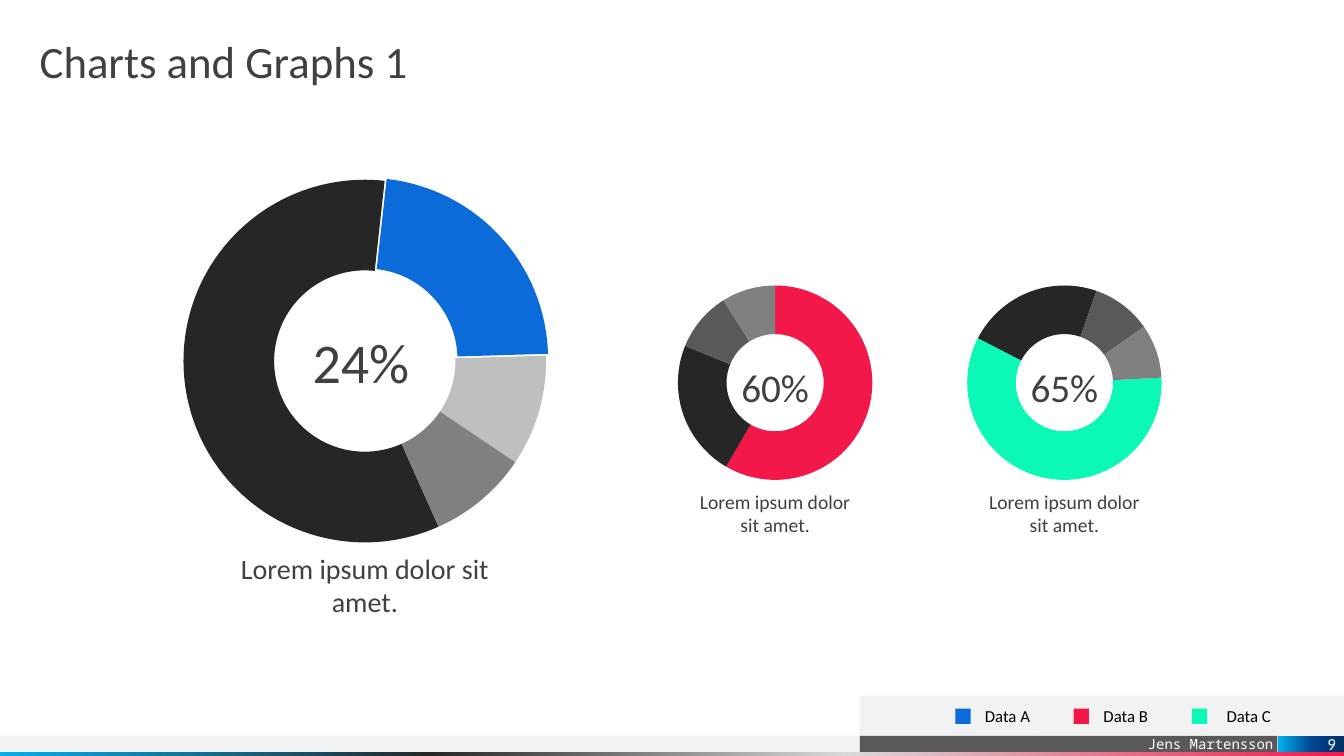
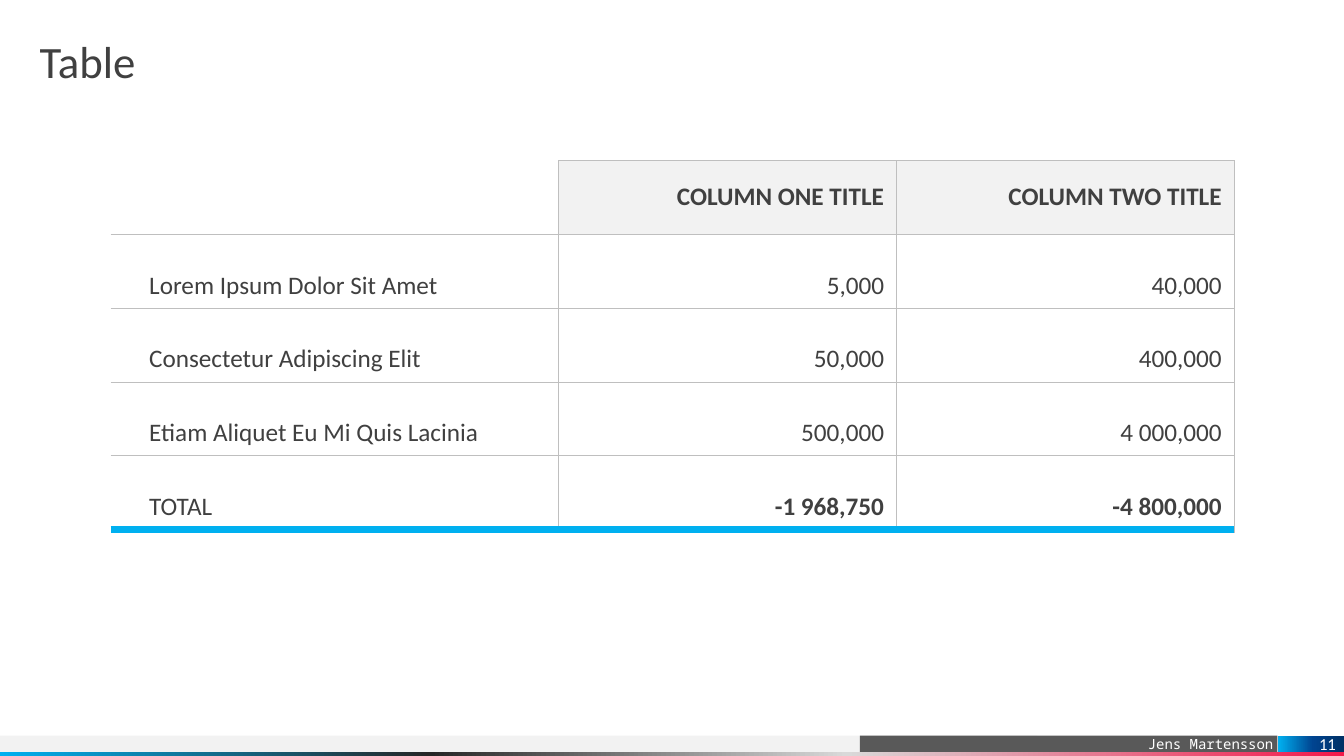
from dataclasses import dataclass

from pptx import Presentation, oxml
from pptx import util as u
from pptx.chart.data import CategoryChartData
from pptx.dml.color import RGBColor
from pptx.enum import chart as charts, shapes, text
from pptx.oxml.ns import nsdecls, qn

COLORS = {
    "white": "FFFFFF", "black": "000000", "ink": "404040",
    "pale": "F2F2F2", "silver": "D9D9D9", "rule": "BFBFBF", "gray": "808080",
    "slate": "595959", "coal": "262626",
    "blue": "0B6CD9", "red": "F2194A", "mint": "0CF8B6",
    "sky": "00B0F0", "royal": "004490", "navy": "003065",
}
SANS, MONO = "Calibri", "Noto Sans Mono"
PAGE_WIDTH, PAGE_HEIGHT = 33.87, 19.05
FOOTER_TOP, FOOTER_HEIGHT, PANEL_LEFT = 18.54, 0.41, 21.67
LEFT, CENTER, RIGHT = text.PP_ALIGN.LEFT, text.PP_ALIGN.CENTER, text.PP_ALIGN.RIGHT
TOP, MIDDLE, BOTTOM = (text.MSO_ANCHOR.TOP, text.MSO_ANCHOR.MIDDLE,
                       text.MSO_ANCHOR.BOTTOM)


@dataclass(frozen=True)
class Box:
    """Left, top, width and height in centimetres."""
    left: float
    top: float
    width: float
    height: float

    def lengths(self) -> list:
        return [u.Cm(v) for v in (self.left, self.top, self.width, self.height)]

    @property
    def center(self) -> float:
        return self.left + self.width / 2


@dataclass(frozen=True)
class Style:
    size: float
    color: str = "ink"
    font: str = SANS
    align: int = LEFT
    anchor: int = TOP
    bold: bool = False
    insets: tuple = (0, 0, 0, 0)
    line_spacing: float = 1.0


@dataclass(frozen=True)
class Ring:
    """A doughnut chart with a value in its hole and a caption below."""
    box: Box
    diameter: float
    start: int
    colors: tuple
    value: str
    value_box: Box
    value_size: int
    caption: str
    caption_box: Box
    caption_size: int
    exploded: int | None = None


@dataclass(frozen=True)
class Key:
    label: str
    color: str
    label_left: float


def rgb(name: str) -> RGBColor:
    return RGBColor.from_string(COLORS[name])


# Text and shape helpers
def write(frame, content: str, style: Style) -> None:
    frame.word_wrap = True
    frame.vertical_anchor = style.anchor
    (frame.margin_left, frame.margin_top,
     frame.margin_right, frame.margin_bottom) = [u.Cm(v) for v in style.insets]
    para = frame.paragraphs[0]
    para.text = content
    style_paragraph(para, style)


def style_paragraph(para, style: Style) -> None:
    para.alignment = style.align
    para.line_spacing = style.line_spacing
    para.font.name = style.font
    para.font.size = u.Pt(style.size)
    para.font.bold = style.bold
    para.font.color.rgb = rgb(style.color)


def add_text(parent, box: Box, content: str, style: Style) -> None:
    write(parent.add_textbox(*box.lengths()).text_frame, content, style)


def add_rect(parent, box: Box, color: str | None = None):
    rect = parent.add_shape(shapes.MSO_SHAPE.RECTANGLE, *box.lengths())
    rect.shadow.inherit = False
    rect.line.fill.background()
    if color:
        rect.fill.solid()
        rect.fill.fore_color.rgb = rgb(color)
    return rect


def add_gradient_rect(parent, box: Box, stops: dict):
    """Draw a rectangle shaded from left to right; stops map percent to colour."""
    rect = add_rect(parent, box)
    rect.fill.gradient()
    rect.fill.gradient_angle = 0
    stop_list = rect._element.spPr.find(qn("a:gradFill")).find(qn("a:gsLst"))
    for stop in list(stop_list):
        stop_list.remove(stop)
    for percent, color in stops.items():
        stop_list.append(oxml.parse_xml(
            f'<a:gs {nsdecls("a")} pos="{percent * 1000}">'
            f'<a:srgbClr val="{COLORS[color]}"/></a:gs>'))
    return rect


# Parts shared by all pages
def add_page(deck, title: str, number: int):
    page = deck.slides.add_slide(deck.slide_layouts[6])
    parent = page.shapes
    add_rect(parent, Box(0, FOOTER_TOP, 26.14, FOOTER_HEIGHT), "pale")
    author = add_rect(parent, Box(PANEL_LEFT, FOOTER_TOP, 10.52, FOOTER_HEIGHT), "slate")
    write(author.text_frame, "Jens Martensson",
          Style(10, "white", MONO, RIGHT, BOTTOM, insets=(0.25, 0, 0.1, 0)))
    add_gradient_rect(parent, Box(0, 18.95, PAGE_WIDTH, 0.1),
                      {0: "sky", 32: "coal", 63: "silver", 100: "red"})
    tab = add_gradient_rect(parent, Box(32.21, FOOTER_TOP, 1.66, FOOTER_HEIGHT),
                            {0: "sky", 53: "royal", 100: "navy"})
    write(tab.text_frame, str(number),
          Style(12, "white", align=RIGHT, anchor=MIDDLE, insets=(0, 0, 0.2, 0)))
    add_text(parent, Box(1, 1, 31.88, 1.5), title, Style(32, line_spacing=0.9))
    return page


# Doughnut charts
def add_ring(page, ring: Ring) -> None:
    data = CategoryChartData()
    data.categories = ["1", "2", "3", "4"]
    data.add_series("Series 1", (59, 23, 10, 9))
    chart = page.shapes.add_chart(
        charts.XL_CHART_TYPE.DOUGHNUT, *ring.box.lengths(), data).chart
    chart.has_legend = chart.has_title = False
    chart.font.name, chart.font.size = MONO, u.Pt(10)
    chart.font.color.rgb = rgb("black")
    plot = chart.plots[0]
    plot.vary_by_categories = True
    for index, color in enumerate(ring.colors):
        look = plot.series[0].points[index].format
        look.fill.solid()
        look.fill.fore_color.rgb = rgb(color)
        look.line.fill.background()

    root = chart._chartSpace
    root.xpath(".//c:firstSliceAng")[0].set("val", str(ring.start))
    root.xpath(".//c:holeSize")[0].set("val", "60")
    if ring.exploded is not None:
        point = root.xpath(f".//c:dPt[c:idx/@val='{ring.exploded}']")[0]
        point.find(qn("c:spPr")).addprevious(
            oxml.parse_xml(f'<c:explosion {nsdecls("c")} val="3"/>'))
    place_plot(root, ring.diameter / ring.box.width, ring.diameter / ring.box.height)

    add_text(page.shapes, ring.value_box, ring.value,
             Style(ring.value_size, align=CENTER, insets=(0.25, 0.13, 0.25, 0.13)))
    add_text(page.shapes, ring.caption_box, ring.caption,
             Style(ring.caption_size, align=CENTER))


def place_plot(root, width: float, height: float) -> None:
    """Centre the plot, given its share of the chart's width and height."""
    area = root.xpath(".//c:plotArea")[0]
    for layout in area.findall(qn("c:layout")):
        area.remove(layout)
    shares = {"x": (1 - width) / 2, "y": (1 - height) / 2, "w": width, "h": height}
    entries = "".join(f'<c:{k} val="{v:.4f}"/>' for k, v in shares.items())
    area.insert(0, oxml.parse_xml(
        f'<c:layout {nsdecls("c")}><c:manualLayout><c:layoutTarget val="inner"/>'
        f'<c:xMode val="edge"/><c:yMode val="edge"/>{entries}'
        f'</c:manualLayout></c:layout>'))


def small_ring(left: float, start: int, color: str, value: str) -> Ring:
    box = Box(left, 6.65, 5.59, 5.99)
    return Ring(box, 4.9, start, (color, "coal", "slate", "gray"),
                value, Box(box.center - 1.82, 9.02, 3.64, 1.45), 28,
                "Lorem ipsum dolor\nsit amet.",
                Box(box.center - 2.22, 12.34, 4.44, 1.19), 14)


RINGS = (
    Ring(Box(4.24, 3.78, 9.91, 10.64), 9.14, 156, ("coal", "blue", "rule", "gray"),
         "24%", Box(5.87, 8.13, 6.45, 1.96), 40,
         "Lorem ipsum dolor sit amet.", Box(5.26, 13.89, 7.87, 0.86), 20, exploded=1),
    small_ring(16.74, 0, "red", "60%"),
    small_ring(24.03, 87, "mint", "65%"),
)
KEYS = (Key("Data A", "blue", 24.82), Key("Data B", "red", 27.81),
        Key("Data C", "mint", 30.91))


def add_legend(page) -> None:
    add_rect(page.shapes, Box(PANEL_LEFT, 17.53, 12.2, 1.01), "pale")
    group = page.shapes.add_group_shape().shapes
    for index, key in enumerate(KEYS):
        add_rect(group, Box(24.08 + index * 2.98, 17.86, 0.38, 0.38), key.color)
        add_text(group, Box(key.label_left, 17.78, 1.88, 0.53), key.label,
                 Style(12, "black"))


# Table
ROWS = (
    ("", "COLUMN ONE TITLE", "COLUMN TWO TITLE"),
    ("Lorem Ipsum Dolor Sit Amet", "5,000", "40,000"),
    ("Consectetur Adipiscing Elit", "50,000", "400,000"),
    ("Etiam Aliquet Eu Mi Quis Lacinia", "500,000", "4 000,000"),
    ("TOTAL", "-1 968,750", "-4 800,000"),
)
COLUMN_WIDTHS = (11.28, 8.51, 8.51)
ROW_HEIGHT = 1.86


def set_borders(cell, borders: dict) -> None:
    """Set the sides L, R, T, B to (colour, points), or to None for no line."""
    for side, border in borders.items():
        if border:
            color, points = border
            width = u.Pt(points)
            paint = f'<a:solidFill><a:srgbClr val="{COLORS[color]}"/></a:solidFill>'
        else:
            width, paint = 0, "<a:noFill/>"
        cell._tc.get_or_add_tcPr().append(oxml.parse_xml(
            f'<a:ln{side} {nsdecls("a")} w="{width}">{paint}</a:ln{side}>'))


def add_figures_table(page) -> None:
    box = Box(2.79, 4.04, sum(COLUMN_WIDTHS), ROW_HEIGHT * len(ROWS))
    table = page.shapes.add_table(len(ROWS), len(COLUMN_WIDTHS), *box.lengths()).table
    table.first_row = table.horz_banding = False
    for column, width in zip(table.columns, COLUMN_WIDTHS):
        column.width = u.Cm(width)
    thin, thick = ("rule", 0.25), ("sky", 6)
    for r, row in enumerate(ROWS):
        table.rows[r].height = u.Cm(ROW_HEIGHT)
        header, total = r == 0, r == len(ROWS) - 1
        for c, content in enumerate(row):
            cell, label = table.cell(r, c), c == 0
            set_borders(cell, {"L": None if label else thin, "R": thin,
                               "T": None if header and label else thin,
                               "B": thick if total else thin})
            if header and not label:
                cell.fill.solid()
                cell.fill.fore_color.rgb = rgb("pale")
            else:
                cell.fill.background()
            cell.vertical_anchor = MIDDLE if header else BOTTOM
            cell.margin_left = u.Cm(0.97 if label else 0.3)
            cell.margin_right = u.Cm(0.3)
            cell.margin_top = cell.margin_bottom = u.Cm(0.18)
            para = cell.text_frame.paragraphs[0]
            para.text = content
            style_paragraph(para, Style(18, align=LEFT if label else RIGHT,
                                        bold=(header or total) and not label))


def main() -> None:
    deck = Presentation()
    deck.slide_width, deck.slide_height = u.Cm(PAGE_WIDTH), u.Cm(PAGE_HEIGHT)

    page = add_page(deck, "Charts and Graphs 1", 9)
    for ring in RINGS:
        add_ring(page, ring)
    add_legend(page)

    page = add_page(deck, "Table", 11)
    add_figures_table(page)
    deck.save("out.pptx")


if __name__ == "__main__":
    main()
